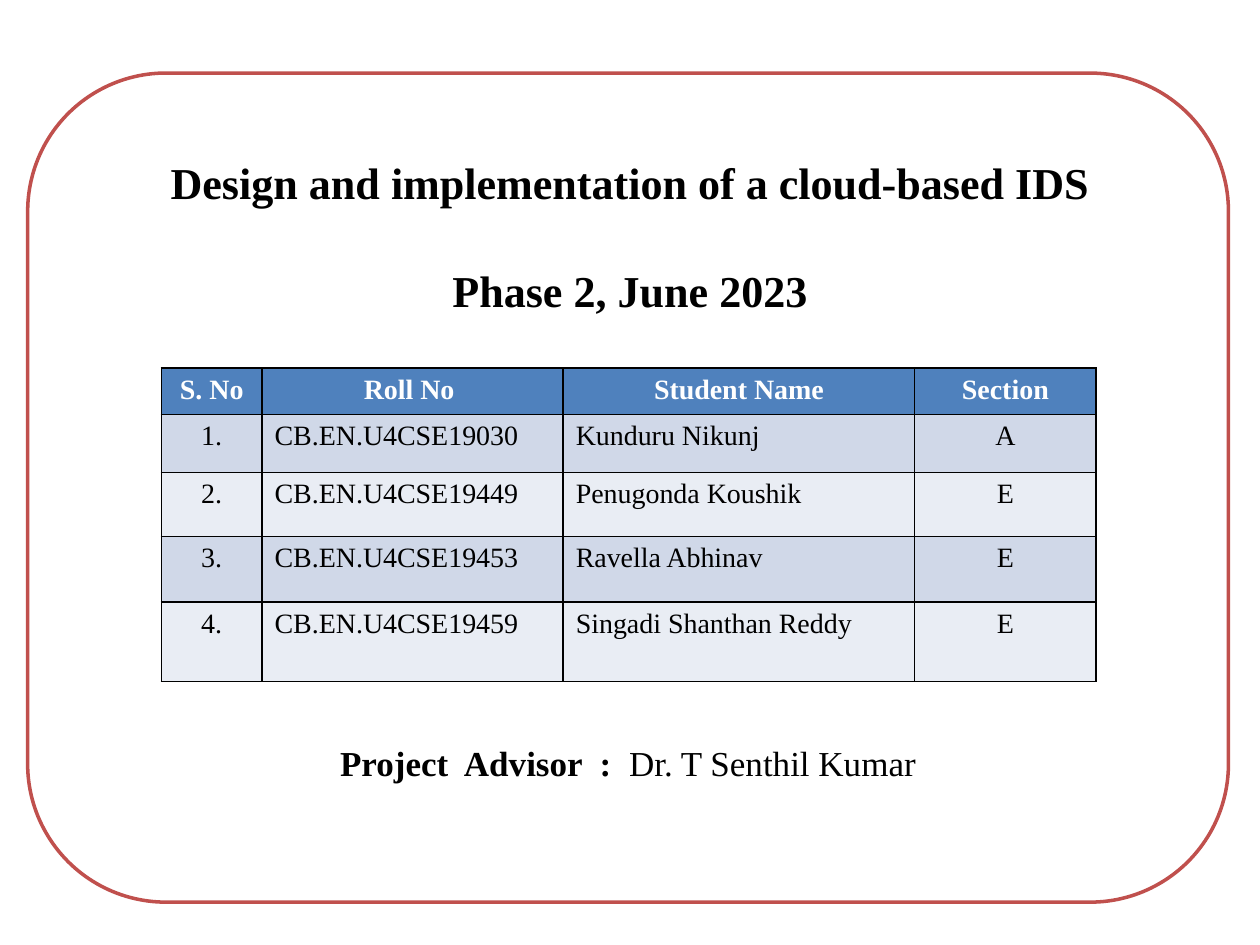
import pptx
import pptx.dml.color
import pptx.enum.shapes
import pptx.enum.text
import pptx.oxml
import pptx.oxml.ns
import pptx.util

RGBColor = pptx.dml.color.RGBColor
BLACK = RGBColor(0x00, 0x00, 0x00)
WHITE = RGBColor(0xFF, 0xFF, 0xFF)
RED = RGBColor(0xC0, 0x50, 0x4D)
BLUE = RGBColor(0x4F, 0x81, 0xBD)
BANDS = (RGBColor(0xD0, 0xD8, 0xE8), RGBColor(0xE9, 0xED, 0xF4))

ALIGN = pptx.enum.text.PP_ALIGN
ANCHOR = pptx.enum.text.MSO_ANCHOR

TITLE_LINES = ("Design and implementation of a cloud-based IDS", "Phase 2, June 2023")
HEADERS = ("S. No", "Roll No ", "Student Name", "Section")
STUDENTS = (
    ("1.", "CB.EN.U4CSE19030", "Kunduru Nikunj", "A"),
    ("2.", "CB.EN.U4CSE19449", "Penugonda Koushik", "E"),
    ("3.", "CB.EN.U4CSE19453", "Ravella Abhinav", "E"),
    ("4.", "CB.EN.U4CSE19459", "Singadi Shanthan Reddy", "E"),
)


class Deck:
    FONT = "Times New Roman"
    COLUMNS, ROWS = 100, 75

    def __init__(self):
        self.prs = pptx.Presentation()
        self.prs.slide_width = pptx.util.Inches(10)
        self.prs.slide_height = pptx.util.Inches(7.5)
        self.slide = self.prs.slides.add_slide(self.prs.slide_layouts[0])

    def x(self, columns):
        return round(self.prs.slide_width * columns / self.COLUMNS)

    def y(self, rows):
        return round(self.prs.slide_height * rows / self.ROWS)

    def box(self, left, top, width, height):
        return self.x(left), self.y(top), self.x(width), self.y(height)

    def run(self, p, text, size, bold=False, color=BLACK):
        r = p.add_run()
        r.text = text
        r.font.name = self.FONT
        r.font.size = pptx.util.Pt(size)
        r.font.bold = bold
        r.font.color.rgb = color

    def title(self, lines, place, size, gap):
        sp = self.slide.shapes.title
        sp.left, sp.top, sp.width, sp.height = self.box(*place)
        tf = sp.text_frame
        tf.auto_size = pptx.enum.text.MSO_AUTO_SIZE.NONE
        tf.vertical_anchor = ANCHOR.MIDDLE
        for i, line in enumerate(lines):
            p = tf.add_paragraph() if i else tf.paragraphs[0]
            p.alignment = ALIGN.CENTER
            p.space_before = pptx.util.Pt(gap if i else 0)
            self.run(p, line, size, bold=True)

    def frame(self, runs, place, size, bottom):
        sp = self.slide.shapes.add_shape(
            pptx.enum.shapes.MSO_SHAPE.ROUNDED_RECTANGLE, *self.box(*place))
        self.slide.shapes.title.element.addprevious(sp.element)
        sp.shadow.inherit = False
        sp.fill.solid()
        sp.fill.fore_color.rgb = WHITE
        sp.line.color.rgb = RED
        sp.line.width = pptx.util.Pt(2)
        tf = sp.text_frame
        tf.word_wrap = True
        tf.vertical_anchor = ANCHOR.BOTTOM
        tf.margin_bottom = self.y(bottom)
        p = tf.paragraphs[0]
        p.alignment = ALIGN.CENTER
        for text, bold in runs:
            self.run(p, text, size, bold)

    def border(self, cell, color=BLACK, width=1):
        tc_pr = cell._tc.get_or_add_tcPr()
        for side in "LRTB":
            tc_pr.append(pptx.oxml.parse_xml(
                f'<a:ln{side} {pptx.oxml.ns.nsdecls("a")} w="{pptx.util.Pt(width)}">'
                f'<a:solidFill><a:srgbClr val="{color}"/></a:solidFill></a:ln{side}>'))

    def table(self, rows, left, top, widths, heights, size):
        place = self.box(left, top, sum(widths), sum(heights))
        table = self.slide.shapes.add_table(len(rows), len(widths), *place).table
        for column, width in zip(table.columns, widths):
            column.width = self.x(width)
        for row, height in zip(table.rows, heights):
            row.height = self.y(height)
        for i, row in enumerate(rows):
            header = i == 0
            for j, text in enumerate(row):
                cell = table.cell(i, j)
                self.border(cell)
                cell.fill.solid()
                cell.fill.fore_color.rgb = BLUE if header else BANDS[(i - 1) % 2]
                p = cell.text_frame.paragraphs[0]
                centered = header or j in (0, len(row) - 1)
                p.alignment = ALIGN.CENTER if centered else ALIGN.LEFT
                self.run(p, text, size, header, WHITE if header else BLACK)

    def save(self):
        for sp in list(self.slide.placeholders):
            if not sp.text_frame.text:
                sp.element.getparent().remove(sp.element)
        self.prs.save("out.pptx")


def main():
    deck = Deck()
    deck.title(TITLE_LINES, (7.5, 11.9, 85, 13.6), size=25.2, gap=31.5)
    deck.frame((("Project  Advisor  :  ", True), ("Dr. T Senthil Kumar", False)),
               (2.2, 5.8, 95.3, 65.8), size=20, bottom=6.2)
    deck.table((HEADERS, *STUDENTS), 12.8, 29.2, widths=(8, 23.9, 27.9, 14.4),
               heights=(3.7, 4.6, 5.1, 5.2, 6.3), size=16)
    deck.save()


if __name__ == "__main__":
    main()
